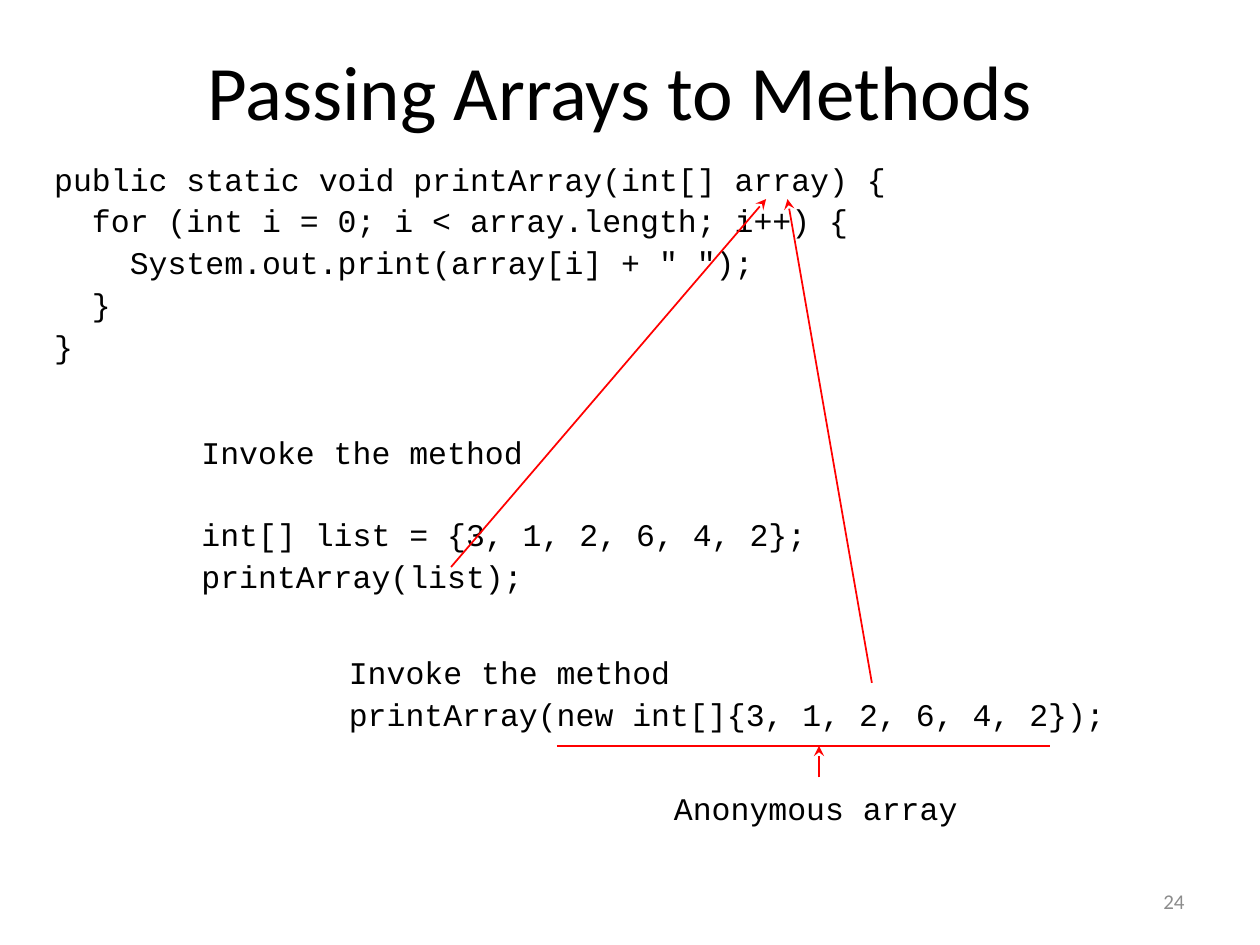
from lxml.etree import SubElement
from pptx import Presentation
from pptx.dml.color import RGBColor
from pptx.enum.shapes import MSO_CONNECTOR
from pptx.enum.text import MSO_ANCHOR, MSO_AUTO_SIZE, PP_ALIGN
from pptx.oxml.ns import qn
from pptx.util import Inches, Pt

BLACK = RGBColor(0x00, 0x00, 0x00)
GRAY = RGBColor(0x8C, 0x8C, 0x8C)
RED = RGBColor(0xFF, 0x00, 0x00)

CODE_FONT = "Courier New"
TEXT_FONT = "Calibri"
CODE_GAP = 4.5      # points before each code line
CODE_PITCH = 23     # points from one code line to the next
CODE_INDENT = 0.3   # inches, two characters of 18 point code

# Code lines as (indent level, text)
METHOD_LINES = [
    (0, "public static void printArray(int[] array) {"),
    (1, "for (int i = 0; i < array.length; i++) {"),
    (2, 'System.out.print(array[i] + " ");'),
    (1, "}"),
    (0, "}"),
]


def place(shape, left, top, width, height):
    shape.left, shape.top = Inches(left), Inches(top)
    shape.width, shape.height = Inches(width), Inches(height)


def write(para, text, *, size=18, font=CODE_FONT, color=BLACK,
          align=PP_ALIGN.LEFT, before=0, spacing=1.0, indent=0):
    """Fill one paragraph with unbulleted, formatted text."""
    para.alignment = align
    para.space_before = Pt(before)
    para.line_spacing = spacing
    properties = para._p.get_or_add_pPr()
    properties.set("marL", str(Inches(indent)))
    properties.set("indent", "0")
    SubElement(properties, qn("a:buNone"))
    span = para.add_run()
    span.text = text
    span.font.size = Pt(size)
    span.font.name = font
    span.font.color.rgb = color


def write_code(shape, lines, gap_at=None):
    """Write code lines, leaving one line free above line gap_at."""
    frame = shape.text_frame
    frame.word_wrap = True
    frame.auto_size = MSO_AUTO_SIZE.NONE
    for index, (level, text) in enumerate(lines):
        para = frame.add_paragraph() if index else frame.paragraphs[0]
        before = CODE_GAP + (CODE_PITCH if index == gap_at else 0)
        write(para, text, before=before, spacing=0.9,
              indent=level * CODE_INDENT)


def add_code_box(page, left, top, width, height, *texts, gap_at=None):
    box = page.shapes.add_textbox(Inches(left), Inches(top),
                                  Inches(width), Inches(height))
    write_code(box, [(0, text) for text in texts], gap_at)


def add_line(page, start, end, arrow=True):
    line = page.shapes.add_connector(MSO_CONNECTOR.STRAIGHT,
                                     *map(Inches, start + end))
    line.line.color.rgb = RED
    line.line.width = Pt(1)
    if arrow:
        SubElement(line.line._get_or_add_ln(), qn("a:tailEnd"),
                   type="stealth")
    SubElement(line._element.spPr, qn("a:effectLst"))


def add_page_number(page, number):
    box = page.shapes.add_textbox(Inches(7.17), Inches(6.95),
                                  Inches(2.33), Inches(0.4))
    box.text_frame.word_wrap = True
    box.text_frame.vertical_anchor = MSO_ANCHOR.MIDDLE
    write(box.text_frame.paragraphs[0], number, size=12, font=TEXT_FONT,
          color=GRAY, align=PP_ALIGN.RIGHT)


def main():
    deck = Presentation()
    deck.slide_width, deck.slide_height = Inches(10), Inches(7.5)
    page = deck.slides.add_slide(deck.slide_layouts[1])

    # Title and method definition
    title, body = page.placeholders
    place(title, 0.67, 0.25, 8.5, 0.92)
    title.text_frame.vertical_anchor = MSO_ANCHOR.MIDDLE
    write(title.text_frame.paragraphs[0], "Passing Arrays to Methods",
          size=44, font=TEXT_FONT, align=PP_ALIGN.CENTER)
    place(body, 0.33, 1.25, 7, 1.83)
    write_code(body, METHOD_LINES)
    add_page_number(page, "24")

    # Call with a named array
    add_code_box(page, 1.5, 3.42, 7.58, 1.42, "Invoke the method",
                 "int[] list = {3, 1, 2, 6, 4, 2};", "printArray(list);",
                 gap_at=1)
    add_line(page, (3.58, 4.5), (6.08, 1.58))

    # Call with an anonymous array
    add_code_box(page, 2.67, 5.17, 7.58, 1.42, "Invoke the method",
                 "printArray(new int[]{3, 1, 2, 6, 4, 2});")
    add_line(page, (6.92, 5.42), (6.25, 1.58))

    # Underline and its label
    add_line(page, (6.5, 6.17), (6.5, 5.92))
    add_line(page, (4.42, 5.92), (8.33, 5.92), arrow=False)
    add_code_box(page, 5.25, 6.25, 2.58, 0.33, "Anonymous array")

    deck.save("out.pptx")


if __name__ == "__main__":
    main()
